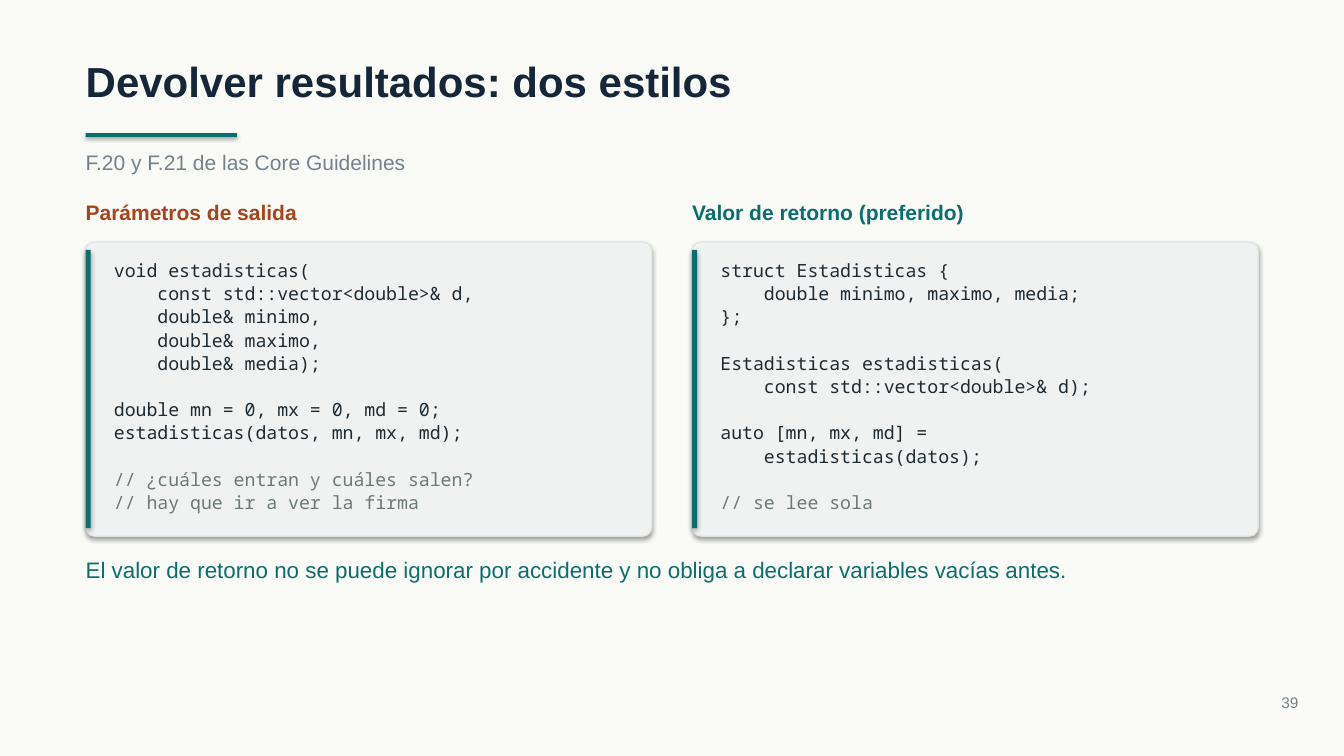
import pptx
import pptx.util
import pptx.dml.color
import pptx.enum.shapes
import pptx.enum.text

RGBColor = pptx.dml.color.RGBColor
Inches = pptx.util.Inches
Pt = pptx.util.Pt
Shape = pptx.enum.shapes.MSO_SHAPE
Align = pptx.enum.text.PP_ALIGN

# Colours
PAPER = RGBColor(0xFA, 0xFA, 0xF7)
NAVY = RGBColor(0x14, 0x26, 0x38)
TEAL = RGBColor(0x0B, 0x6E, 0x6E)
RUST = RGBColor(0xA8, 0x43, 0x1B)
GREY = RGBColor(0x74, 0x82, 0x8C)
CODE_INK = RGBColor(0x1E, 0x2B, 0x33)
COMMENT_INK = RGBColor(0x6B, 0x7A, 0x74)
CARD_FILL = RGBColor(0xF0, 0xF2, 0xF1)
CARD_EDGE = RGBColor(0xDD, 0xE2, 0xE0)

# Grid, in inches: two columns with a gutter inside equal margins
SLIDE_W, SLIDE_H = 13.33, 7.5
MARGIN, GUTTER = 0.85, 0.4
CONTENT_W = SLIDE_W - 2 * MARGIN
COLUMN_W = (CONTENT_W - GUTTER) / 2
HEADING_TOP, CARD_TOP, CARD_H = 1.98, 2.4, 2.92
ACCENT_W, ACCENT_INSET = 0.05, 0.08
CODE_INDENT, CODE_INSET = 0.28, 0.16
CODE_LINE_GAP = 16.6  # points, height of one empty code line

# Text formats
TITLE = {"name": "Arial", "size": Pt(30), "bold": True, "color": NAVY}
SUBTITLE = {"name": "Arial", "size": Pt(15), "color": GREY}
HEADING = {"name": "Arial", "size": Pt(15), "bold": True}
CODE = {"name": "Noto Sans Mono", "size": Pt(13), "color": CODE_INK}
CONCLUSION = {"name": "Arial", "size": Pt(16), "color": TEAL}
PAGE_NUMBER = {"name": "Arial", "size": Pt(11), "color": GREY}

OUTPUT_PARAMETERS = """void estadisticas(
    const std::vector<double>& d,
    double& minimo,
    double& maximo,
    double& media);

double mn = 0, mx = 0, md = 0;
estadisticas(datos, mn, mx, md);

// ¿cuáles entran y cuáles salen?
// hay que ir a ver la firma"""

RETURN_VALUE = """struct Estadisticas {
    double minimo, maximo, media;
};

Estadisticas estadisticas(
    const std::vector<double>& d);

auto [mn, mx, md] =
    estadisticas(datos);

// se lee sola"""

STYLES = [
    ("Parámetros de salida", RUST, OUTPUT_PARAMETERS),
    ("Valor de retorno (preferido)", TEAL, RETURN_VALUE),
]


def apply_format(font, text_format):
    for attribute, value in text_format.items():
        if attribute == "color":
            font.color.rgb = value
        else:
            setattr(font, attribute, value)


def prepare_frame(frame):
    settings = {
        "margin_left": 0, "margin_top": 0, "margin_right": 0, "margin_bottom": 0,
        "word_wrap": True,
        "auto_size": pptx.enum.text.MSO_AUTO_SIZE.NONE,
        "vertical_anchor": pptx.enum.text.MSO_ANCHOR.TOP,
    }
    for attribute, value in settings.items():
        setattr(frame, attribute, value)
    return frame


def write(paragraph, text, text_format, align=Align.LEFT):
    paragraph.alignment = align
    line = paragraph.add_run()
    line.text = text
    apply_format(line.font, text_format)


def add_frame(slide, left, top, width, height):
    box = slide.shapes.add_textbox(*map(Inches, (left, top, width, height)))
    return prepare_frame(box.text_frame)


def add_label(slide, area, text, text_format, align=Align.LEFT):
    write(add_frame(slide, *area).paragraphs[0], text, text_format, align)


def add_title(slide, text):
    title = slide.shapes.title
    place = {"left": MARGIN, "top": 0.55, "width": CONTENT_W, "height": 0.5}
    for attribute, value in place.items():
        setattr(title, attribute, Inches(value))
    write(prepare_frame(title.text_frame).paragraphs[0], text, TITLE)


def add_panel(slide, kind, area, fill, edge=None):
    """Filled shape that keeps the soft shadow of the theme."""
    panel = slide.shapes.add_shape(kind, *map(Inches, area))
    panel.fill.solid()
    panel.fill.fore_color.rgb = fill
    if edge is None:
        panel.line.fill.background()
    else:
        panel.line.color.rgb = edge
        panel.line.width = Pt(0.75)
    return panel


def add_code(slide, area, source):
    frame = add_frame(slide, *area)
    paragraph, after_gap = frame.paragraphs[0], False
    for number, code_line in enumerate(source.splitlines()):
        if not code_line:
            after_gap = True
            continue
        if number:
            paragraph = frame.add_paragraph()
        paragraph.line_spacing = 1.06
        if after_gap:
            paragraph.space_before = Pt(CODE_LINE_GAP)
        ink = COMMENT_INK if code_line.startswith("//") else CODE_INK
        write(paragraph, code_line, {**CODE, "color": ink})
        after_gap = False


def add_style_column(slide, left, heading, heading_color, source):
    add_label(slide, (left, HEADING_TOP, COLUMN_W, 0.25), heading,
              {**HEADING, "color": heading_color})
    card = add_panel(slide, Shape.ROUNDED_RECTANGLE,
                     (left, CARD_TOP, COLUMN_W, CARD_H), CARD_FILL, CARD_EDGE)
    card.adjustments[0] = 0.03
    add_panel(slide, Shape.RECTANGLE,
              (left, CARD_TOP + ACCENT_INSET, ACCENT_W, CARD_H - 2 * ACCENT_INSET), TEAL)
    add_code(slide, (left + CODE_INDENT, CARD_TOP + CODE_INSET, COLUMN_W - 0.45, 2.53), source)


def main():
    deck = pptx.Presentation()
    deck.slide_width, deck.slide_height = Inches(SLIDE_W), Inches(SLIDE_H)
    slide = deck.slides.add_slide(deck.slide_layouts[5])
    slide.background.fill.solid()
    slide.background.fill.fore_color.rgb = PAPER

    # Heading block
    add_title(slide, "Devolver resultados: dos estilos")
    add_panel(slide, Shape.RECTANGLE, (MARGIN, 1.32, 1.5, 0.04), TEAL)
    add_label(slide, (MARGIN, 1.48, CONTENT_W, 0.25),
              "F.20 y F.21 de las Core Guidelines", SUBTITLE)

    # The two styles side by side
    for column, style in enumerate(STYLES):
        add_style_column(slide, MARGIN + column * (COLUMN_W + GUTTER), *style)

    # Conclusion and page number
    add_label(slide, (MARGIN, 5.52, CONTENT_W, 0.27),
              "El valor de retorno no se puede ignorar por accidente "
              "y no obliga a declarar variables vacías antes.", CONCLUSION)
    add_label(slide, (11.98, 6.88, 0.9, 0.18), "39", PAGE_NUMBER, Align.RIGHT)

    deck.save("out.pptx")


if __name__ == "__main__":
    main()
